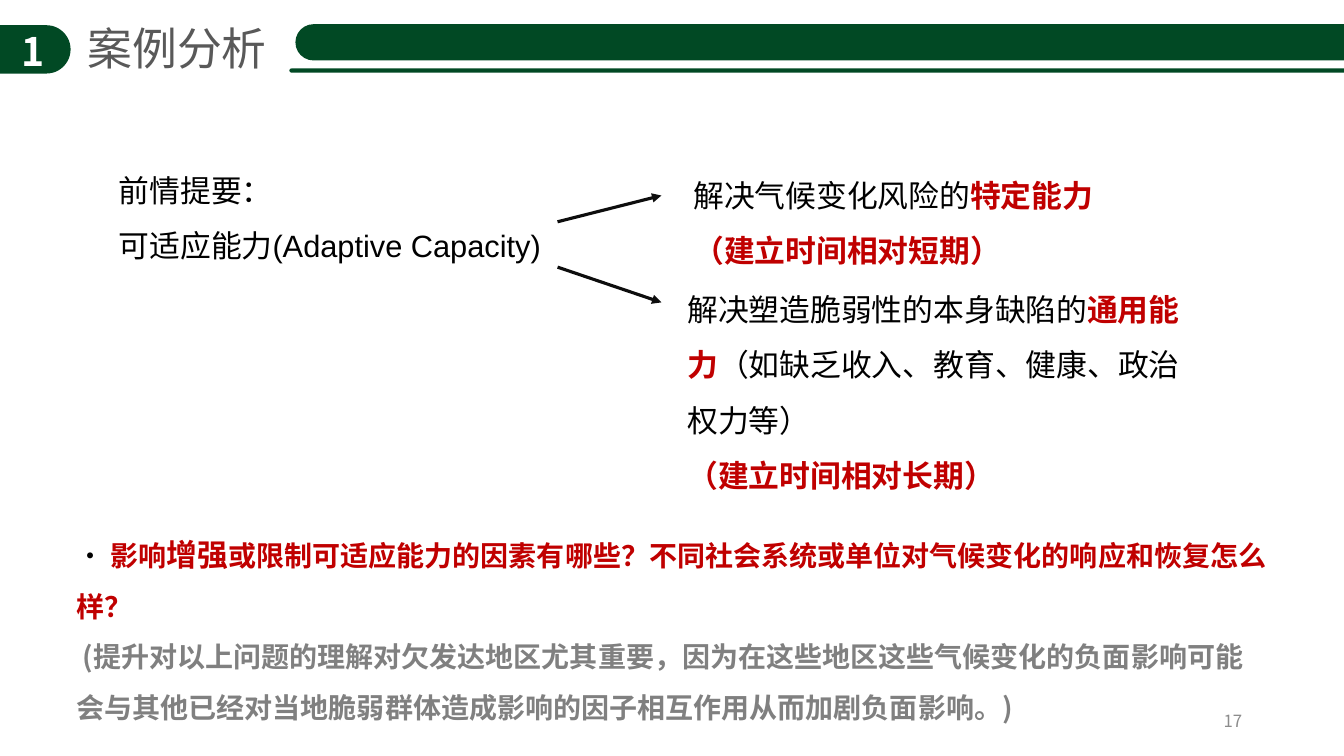
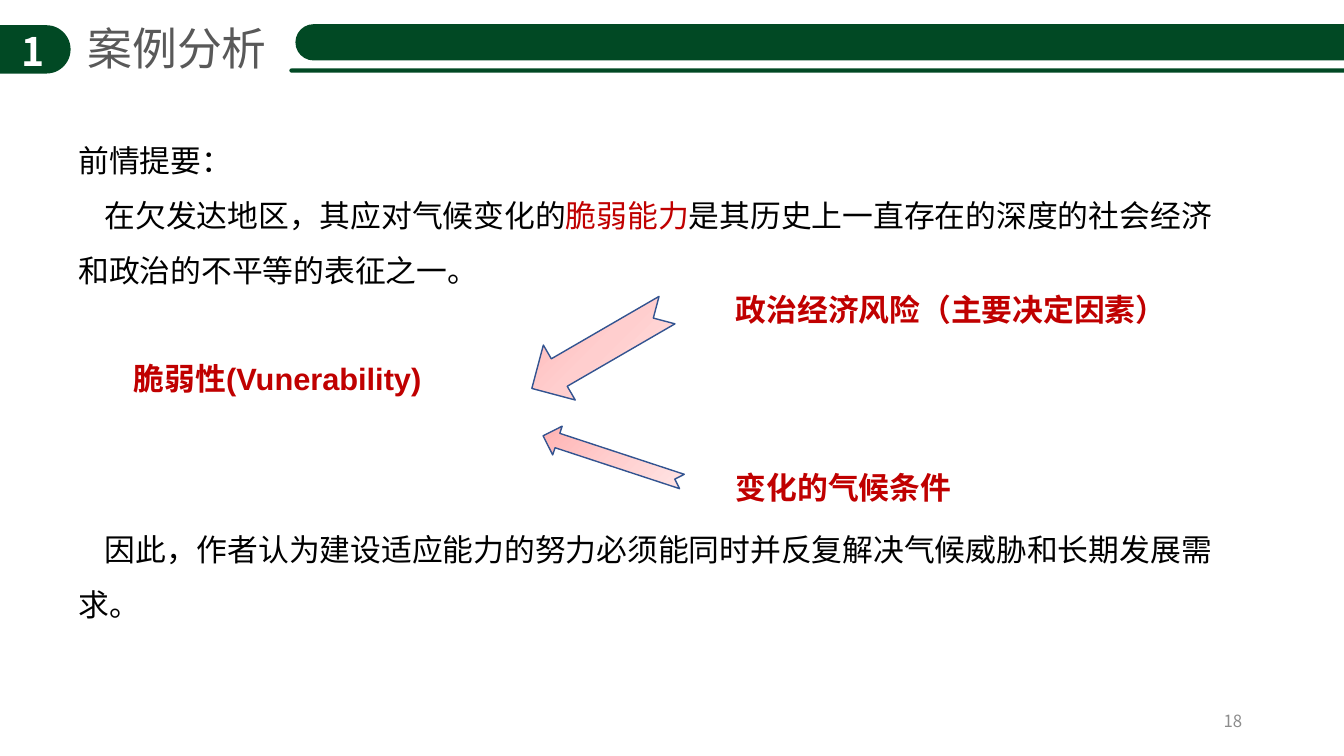
from lxml.etree import SubElement as Sub
from pptx import Presentation
from pptx.dml.color import RGBColor as Rgb
from pptx.enum.lang import MSO_LANGUAGE_ID as Lang
from pptx.enum.shapes import MSO_CONNECTOR as Conn, MSO_SHAPE as Shape
from pptx.enum.text import MSO_ANCHOR as Anchor, PP_ALIGN as Align
from pptx.oxml.ns import qn
from pptx.util import Pt

PX = 9144  # 100 px to the inch
GREEN = Rgb(0x01, 0x49, 0x24)
WHITE = Rgb(0xFF, 0xFF, 0xFF)
BLACK = Rgb(0x00, 0x00, 0x00)
INK = Rgb(0x0D, 0x0D, 0x0D)
SLATE = Rgb(0x59, 0x59, 0x59)
GREY = Rgb(0x80, 0x80, 0x80)
PALE = Rgb(0x8C, 0x8C, 0x8C)
RED = Rgb(0xC0, 0x00, 0x00)
BLUE = Rgb(0x32, 0x54, 0x91)
PINKS = {0: "FFB0B0", 50: "FFCECE", 100: "FFE7E7"}

ARIAL, NOTO = "Arial", "Noto Sans CJK SC"
BODY = {"size": 22, "name": NOTO, "color": BLACK, "bold": False}
LATIN = BODY | {"name": ARIAL}
NOTE = BODY | {"size": 20}
KEY = {"color": RED, "bold": True}


def px(*nums):
    return [num * PX for num in nums]


def add_run(para, words, fmt):
    run = para.add_run()
    run.text = words
    font = run.font
    font.language_id = Lang.SIMPLIFIED_CHINESE
    for key, val in fmt.items():
        if key == "color":
            font.fill.solid()
            font.fill.fore_color.rgb = val
        else:
            setattr(font, key, Pt(val) if key == "size" else val)
    Sub(font._element, qn("a:ea"), typeface=NOTO)


def add_text(slide, at, paras, base=BODY, space=1.5, align=Align.LEFT,
             anchor=Anchor.TOP, wrap=True):
    """Each paragraph is (indent, spans); a span is (words, changes to base)."""
    frame = slide.shapes.add_textbox(*px(*at)).text_frame
    frame.word_wrap = wrap
    frame.vertical_anchor = anchor
    for num, (indent, spans) in enumerate(paras):
        para = frame.add_paragraph() if num else frame.paragraphs[0]
        para.line_spacing, para.alignment = space, align
        if indent:
            para._p.get_or_add_pPr().set("indent", str(indent * PX))
        for words, change in spans:
            add_run(para, words, base | change)


def add_label(slide, at, words, **fmt):
    add_text(slide, at, [(0, [(words, {})])], **fmt)


def add_bar(slide, *at):
    bar = slide.shapes.add_shape(Shape.ROUNDED_RECTANGLE, *px(*at))
    bar.shadow.inherit = False
    bar.adjustments[0] = 0.5
    bar.fill.solid()
    bar.fill.fore_color.rgb = GREEN
    bar.line.fill.background()


def add_arrow(slide, *ends):
    line = slide.shapes.add_connector(Conn.STRAIGHT, *px(*ends))
    line.line.color.rgb = INK
    line.line.width = Pt(2.25)
    Sub(line.line._get_or_add_ln(), qn("a:tailEnd"), type="triangle")
    Sub(line._element.spPr, qn("a:effectLst"))


def add_notch(slide, at, turn):
    """Notched block arrow with a radial pink gradient."""
    arrow = slide.shapes.add_shape(Shape.NOTCHED_RIGHT_ARROW, *px(*at))
    arrow.rotation = turn
    arrow.line.color.rgb = BLUE
    arrow.line.width = Pt(1)
    arrow.shadow.inherit = False
    arrow.fill.gradient()
    grad = arrow._element.spPr.find(qn("a:gradFill"))
    for child in list(grad):
        grad.remove(child)
    stops = Sub(grad, qn("a:gsLst"))
    for pos, tone in PINKS.items():
        stop = Sub(stops, qn("a:gs"), pos=str(pos * 1000))
        Sub(stop, qn("a:srgbClr"), val=tone)
    ring = Sub(grad, qn("a:path"), path="circle")
    Sub(ring, qn("a:fillToRect"), r="100000", b="100000")


def add_page(deck, num):
    """Blank slide with the header band, title and page number."""
    slide = deck.slides.add_slide(deck.slide_layouts[6])
    for at in ((-28, 25, 98, 48), (293, 24, 1181, 36), (287, 68, 1181, 4)):
        add_bar(slide, *at)
    add_label(slide, (7, 22, 51, 57), "1", space=1, align=Align.CENTER,
              base=BODY | {"size": 28, "color": WHITE, "bold": True})
    add_label(slide, (77, 16, 200, 64), "案例分析", space=1, wrap=False,
              base=BODY | {"size": 32, "color": SLATE})
    add_label(slide, (942, 695, 300, 40), str(num), space=1,
              align=Align.RIGHT, anchor=Anchor.MIDDLE,
              base=BODY | {"size": 12, "color": PALE})
    return slide


def add_capacity(deck):
    slide = add_page(deck, 17)
    # Concept and its two branches
    add_text(slide, (108, 147, 440, 120), [
        (0, [("前情提要：", {})]),
        (0, [("可适应能力(Adaptive Capacity)", {})]),
    ], LATIN)
    add_arrow(slide, 553, 220, 656, 194)
    add_arrow(slide, 553, 265, 656, 300)
    add_text(slide, (678, 152, 424, 115), [
        (0, [("解决气候变化风险的", {}), ("特定能力（建立时间相对短期）", KEY)]),
    ])
    add_text(slide, (672, 265, 519, 226), [
        (0, [("解决塑造脆弱性的本身缺陷的", {}), ("通用能力", KEY),
             ("（如缺乏收入、教育、健康、政治权力等）", {})]),
        (0, [("（建立时间相对长期）", KEY)]),
    ])
    # Research question
    add_text(slide, (66, 508, 1202, 211), [
        (0, [("· ", {}), ("影响", KEY), ("增强", KEY | {"size": 22}),
             ("或限制可适应能力的因素有哪些？不同社会系统或单位对气候变化的"
              "响应和恢复怎么样？", KEY)]),
        (6, [("(提升对以上问题的理解对欠发达地区尤其重要，因为在这些地区这些"
              "气候变化的负面影响可能会与其他已经对当地脆弱群体造成影响的因子"
              "相互作用从而加剧负面影响。)", {"color": GREY, "bold": True})]),
    ], NOTE)


def add_risk(deck):
    slide = add_page(deck, 18)
    # Opening and closing statements
    add_text(slide, (68, 117, 1174, 175), [
        (0, [("前情提要：", {})]),
        (26, [("在欠发达地区，其应对气候变化的", {}),
              ("脆弱能力", {"color": RED}),
              ("是其历史上一直存在的深度的社会经济和政治的不平等的表征之一。",
               {})]),
    ], LATIN)
    add_text(slide, (68, 503, 1174, 120), [
        (26, [("因此，作者认为建设适应能力的努力必须能同时并反复解决气候威胁和"
               "长期发展需求。", {})]),
    ], LATIN)
    # Vulnerability and its two causes
    add_label(slide, (123, 334, 380, 59), "脆弱性(Vunerability)",
              base=LATIN | KEY)
    add_label(slide, (720, 265, 473, 59), "政治经济风险（主要决定因素）",
              base=BODY | KEY)
    add_label(slide, (720, 442, 354, 59), "变化的气候条件", base=BODY | KEY)
    add_notch(slide, (517, 315, 155, 63), 149.9)
    add_notch(slide, (535, 440, 145, 30), 198.2)


def main():
    deck = Presentation()
    deck.slide_width, deck.slide_height = px(1333, 750)
    add_capacity(deck)
    add_risk(deck)
    deck.save("out.pptx")


if __name__ == "__main__":
    main()
